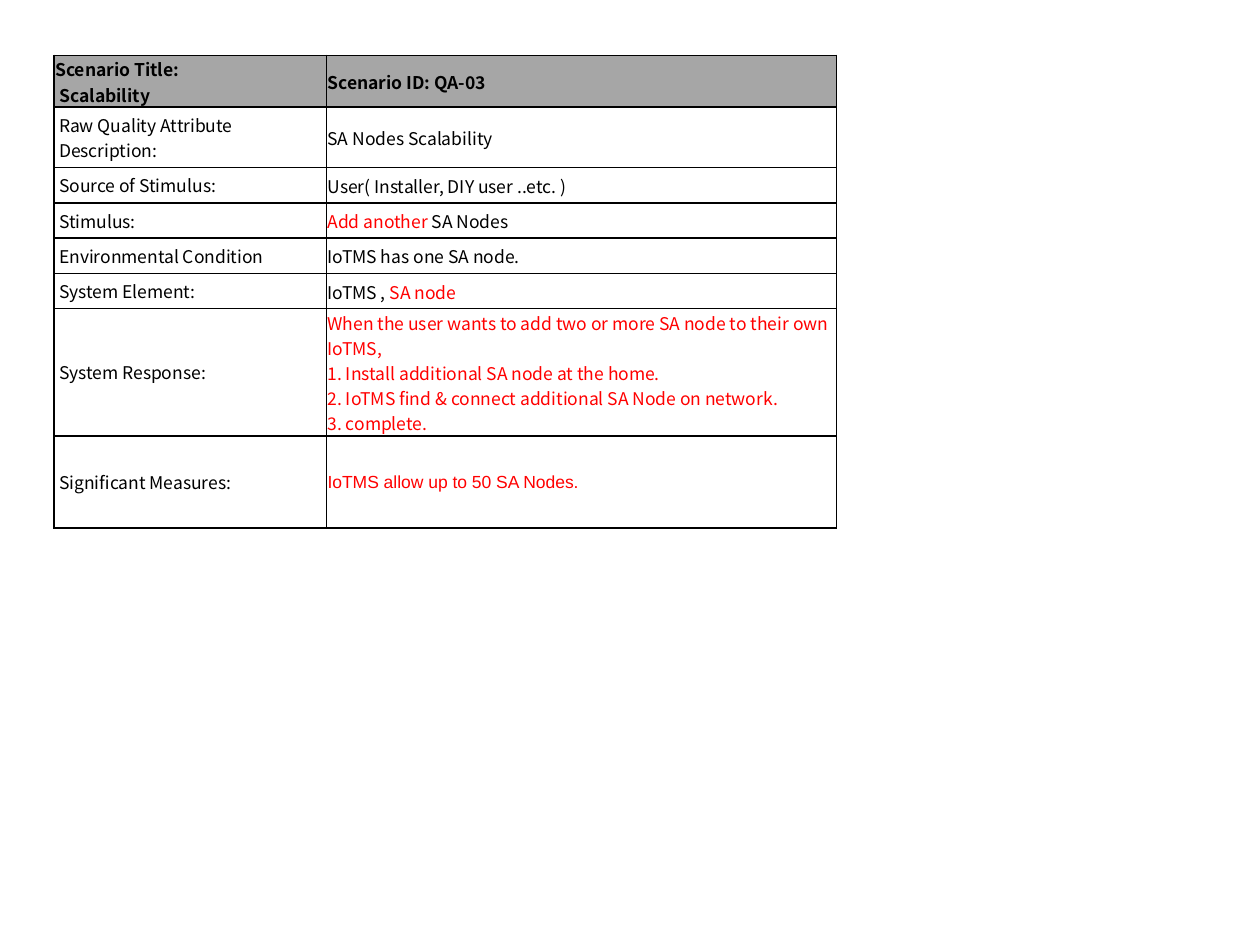
from pptx import Presentation
from pptx.util import Inches, Pt
from pptx.dml.color import RGBColor
from pptx.enum.text import MSO_ANCHOR
from pptx.oxml.ns import qn
from lxml.etree import SubElement

# Content: label, then value runs as (text, colour), then row height
COLS = [2.16, 4.05]
ROWS = [
    ("Scenario Title:\n Scalability", [("Scenario ID: QA-03", "ink")], 0.29),
    ("Raw Quality Attribute\nDescription:", [("SA Nodes Scalability", "ink")], 0.35),
    ("Source of Stimulus: ", [("User( Installer, DIY user ..etc. )", "ink")], 0.21),
    ("Stimulus:", [("Add another ", "red"), ("SA Nodes", "ink")], 0.21),
    ("Environmental Condition", [("IoTMS has one SA node.", "ink")], 0.21),
    ("System Element:", [("IoTMS , ", "ink"), ("SA node", "red")], 0.21),
    ("System Response: ", [(
        "When the user wants to add two or more SA node to their own IoTMS, \n"
        "1. Install additional SA node at the home.\n"
        "2. IoTMS find & connect additional SA Node on network.\n"
        "3. complete.", "red")], 0.71),
    ("Significant Measures:", [("IoTMS allow up to 50 SA Nodes.", "red")], 0.73),
]
COLORS = {"ink": "000000", "red": "FF0000", "head": "A6A6A6"}
FONT = "Noto Sans CJK KR"
SIZE = 10


def style(run, color, bold, face=FONT):
    font = run.font
    font.name, font.size, font.bold = face, Pt(SIZE), bold
    font.color.rgb = RGBColor.from_string(COLORS[color])
    SubElement(run._r.get_or_add_rPr(), qn("a:ea")).set("typeface", face)


def frame(cell, head, pads):
    """Set margins, borders and fill of one cell."""
    cell.margin_left, cell.margin_top, cell.margin_right, cell.margin_bottom = map(Inches, pads)
    props = cell._tc.get_or_add_tcPr()
    for side in ("lnL", "lnR", "lnT", "lnB"):
        line = SubElement(props, qn("a:" + side), w=str(Pt(1)))
        fill = SubElement(line, qn("a:solidFill"))
        SubElement(fill, qn("a:srgbClr"), val=COLORS["ink"])
    if head:
        cell.fill.solid()
        cell.fill.fore_color.rgb = RGBColor.from_string(COLORS["head"])
    else:
        cell.fill.background()


deck = Presentation()
deck.slide_width, deck.slide_height = Inches(10), Inches(7.5)
slide = deck.slides.add_slide(deck.slide_layouts[6])

# Scenario table
table = slide.shapes.add_table(
    len(ROWS), len(COLS), Inches(0.43), Inches(0.44),
    Inches(sum(COLS)), Inches(sum(row[2] for row in ROWS))).table
table.first_row = table.horz_banding = False
for col, width in zip(table.columns, COLS):
    col.width = Inches(width)

for i, (label, runs, height) in enumerate(ROWS):
    table.rows[i].height = Inches(height)
    head, last = i == 0, i == len(ROWS) - 1
    left, right = table.cell(i, 0), table.cell(i, 1)
    tight = (0.01, 0.01, 0.01, 0)
    frame(left, head, tight if head else (0.04,) * 4)
    frame(right, head, tight)
    left.vertical_anchor = MSO_ANCHOR.TOP if head else MSO_ANCHOR.MIDDLE
    right.vertical_anchor = MSO_ANCHOR.MIDDLE

    # Label: one paragraph a line
    left.text_frame.text = label
    for para in left.text_frame.paragraphs:
        style(para.runs[0], "ink", head)

    # Value: coloured runs, with line breaks inside one paragraph
    para = right.text_frame.paragraphs[0]
    for text, color in runs:
        start = len(para.runs)
        if start:
            para.add_run().text = text
        else:
            para.text = text
        for run in para.runs[start:]:
            style(run, color, head, "Arial" if last else FONT)
    for gap in para._p.findall(qn("a:br")):
        SubElement(gap, qn("a:rPr"), sz=str(SIZE * 100))

deck.save("out.pptx")
